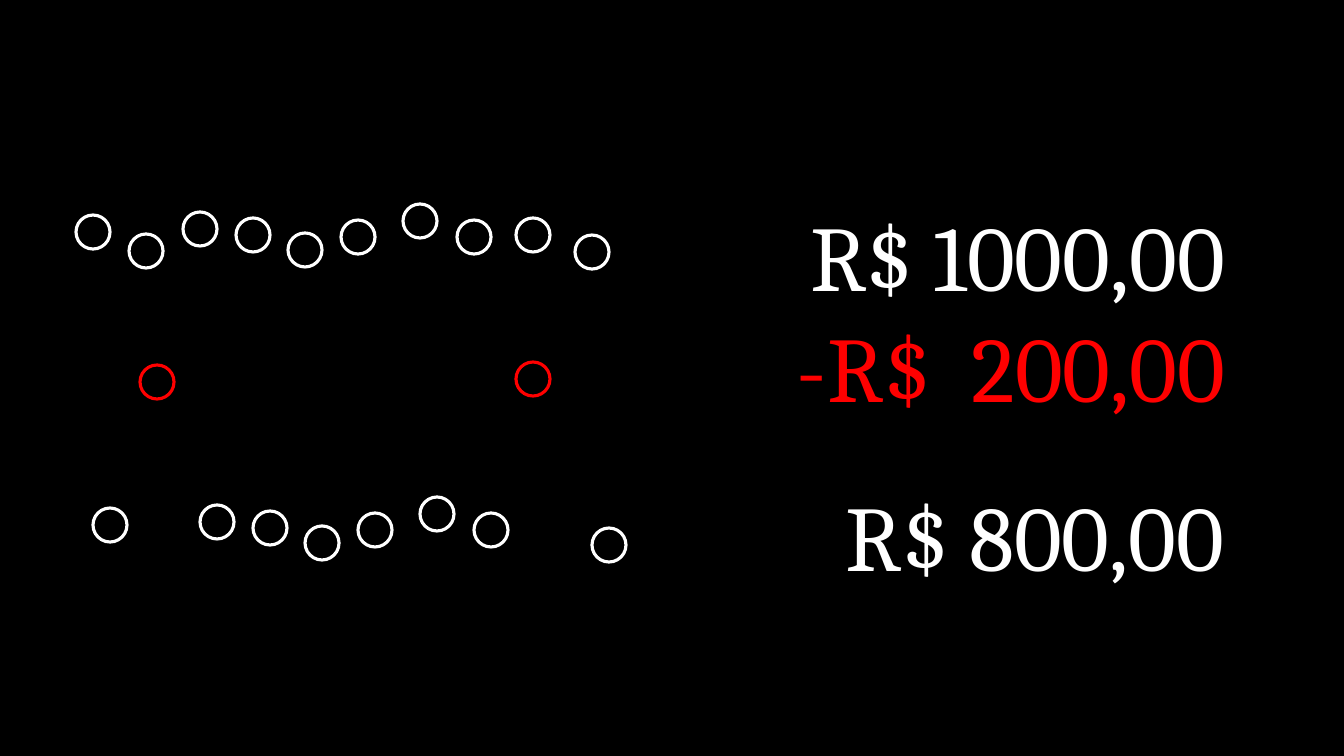
import pptx
import pptx.dml.color
import pptx.enum.shapes
import pptx.enum.text
import pptx.util

RGB = pptx.dml.color.RGBColor
THEME = {
    "background": RGB(0, 0, 0),
    "total": RGB(255, 255, 255),
    "loss": RGB(255, 0, 0),
    "font": "Cambria",
    "amount_size": pptx.util.Pt(66),
    "coin_line": pptx.util.Pt(2.25),
}
WIDTH, HEIGHT = 1344, 756
COIN = 34


def px(n):
    return round(n * 12192000 / WIDTH)


prs = pptx.Presentation()
prs.slide_width, prs.slide_height = px(WIDTH), px(HEIGHT)
s = prs.slides.add_slide(prs.slide_layouts[6])
s.background.fill.solid()
s.background.fill.fore_color.rgb = THEME["background"]

# Amounts: box, then (wording, colour) per line
amounts = [
    ((747, 194, 488, 234), [("R$ 1000,00", "total"), ("-R$  200,00", "loss")]),
    ((808, 474, 426, 122), [("R$ 800,00", "total")]),
]
for box, lines in amounts:
    tf = s.shapes.add_textbox(*map(px, box)).text_frame
    tf.word_wrap = False
    tf.auto_size = pptx.enum.text.MSO_AUTO_SIZE.SHAPE_TO_FIT_TEXT
    tf.text = "\n".join(text for text, _ in lines)
    for p, (_, colour) in zip(tf.paragraphs, lines):
        p.alignment = pptx.enum.text.PP_ALIGN.RIGHT
        r = p.runs[0]
        r.font.name = THEME["font"]
        r.font.size = THEME["amount_size"]
        r.font.color.rgb = THEME[colour]

# Coins: the remaining row is the starting row, moved, without the lost two
start = [(76, 215), (129, 234), (183, 212), (236, 218), (288, 233),
         (341, 220), (403, 204), (457, 220), (516, 218), (575, 235)]
lost = [(140, 365), (516, 362)]
lost_places = (1, 8)
shift_x, shift_y = 17, 293
remaining = [(x + shift_x, y + shift_y)
             for i, (x, y) in enumerate(start) if i not in lost_places]

for coins, colour in [(start, "total"), (lost, "loss"), (remaining, "total")]:
    for x, y in coins:
        sp = s.shapes.add_shape(pptx.enum.shapes.MSO_SHAPE.OVAL,
                                px(x), px(y), px(COIN), px(COIN))
        sp.shadow.inherit = False
        sp.fill.background()
        sp.line.color.rgb = THEME[colour]
        sp.line.width = THEME["coin_line"]

prs.save("out.pptx")
